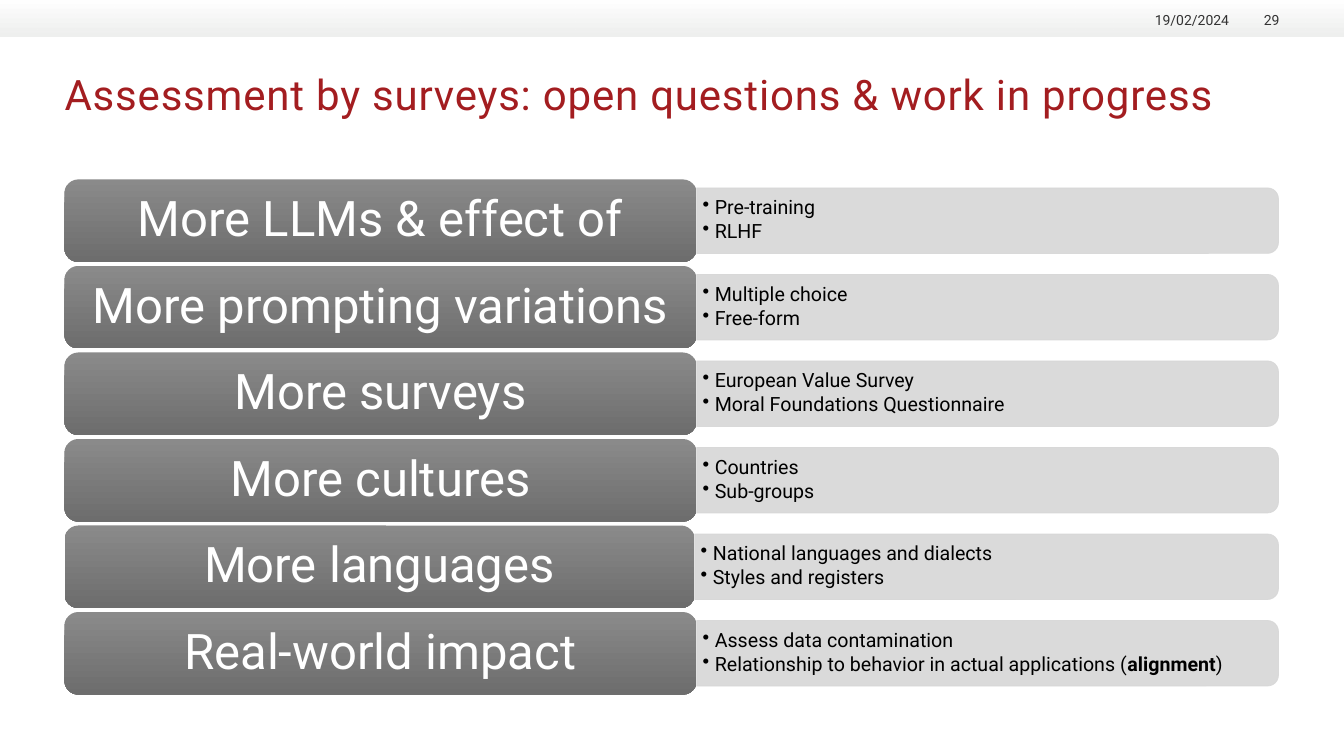
from dataclasses import dataclass

from pptx import Presentation
from pptx import util as u
from pptx.dml import color
from pptx.enum import shapes, text
from pptx.oxml import ns, xmlchemy


@dataclass(frozen=True)
class Theme:
    font: str = "Roboto"
    title: str = "A31D20"
    meta: str = "333333"
    detail: str = "000000"
    topic: str = "FFFFFF"
    panel: str = "D7D7D7"
    banner_gradient: tuple = ("FFFFFF", "EEEFEE")
    topic_gradient: tuple = ("8A8A8A", "6D6D6D")
    title_size: int = 30
    meta_size: int = 10
    detail_size: int = 14
    topic_size: int = 35


THEME = Theme()
ALIGN = text.PP_ALIGN
ANCHOR = text.MSO_ANCHOR

ROWS = [
    ("More LLMs & effect of", ["Pre-training", "RLHF"], 6.27),
    ("More prompting variations", ["Multiple choice", "Free-form"], 6.27),
    ("More surveys", ["European Value Survey", "Moral Foundations Questionnaire"], 6.27),
    ("More cultures", ["Countries", "Sub-groups"], 6.27),
    ("More languages", ["National languages and dialects", "Styles and registers"], 6.25),
    ("Real-world impact", [
        "Assess data contamination",
        ["Relationship to behavior in actual applications (", ("alignment", True), ")"],
    ], 6.27),
]


def rgb(value):
    return color.RGBColor.from_string(value)


def inches(*lengths):
    return [u.Inches(length) for length in lengths]


def fade(colours, percent):
    for colour in colours:
        alpha = xmlchemy.OxmlElement("a:alpha")
        alpha.set("val", str(percent * 1000))
        colour.append(alpha)


def add_bullet(paragraph, indent):
    properties = paragraph._p.get_or_add_pPr()
    properties.set("marL", str(u.Inches(indent)))
    properties.set("indent", str(u.Inches(-indent)))
    bullet = xmlchemy.OxmlElement("a:buChar")
    bullet.set("char", "•")
    properties.append(bullet)


def write(frame, paragraphs, *, size, colour, align=ALIGN.LEFT, anchor=ANCHOR.TOP,
          insets=(0, 0), line_spacing=None, after=0, bullet_indent=None, tracking=None):
    frame.word_wrap = True
    frame.auto_size = text.MSO_AUTO_SIZE.NONE
    frame.vertical_anchor = anchor
    frame.margin_left = frame.margin_right = u.Inches(insets[0])
    frame.margin_top = frame.margin_bottom = u.Inches(insets[1])
    for index, content in enumerate(paragraphs):
        paragraph = frame.add_paragraph() if index else frame.paragraphs[0]
        if bullet_indent:
            add_bullet(paragraph, bullet_indent)
        paragraph.alignment = align
        paragraph.line_spacing = line_spacing
        paragraph.space_after = u.Pt(after)
        for part in [content] if isinstance(content, str) else content:
            words, bold = (part, False) if isinstance(part, str) else part
            run = paragraph.add_run()
            run.text = words
            run.font.name = THEME.font
            run.font.size = u.Pt(size)
            run.font.bold = bold
            run.font.color.rgb = rgb(colour)
            if tracking:
                run._r.get_or_add_rPr().set("spc", str(round(tracking * 100)))


def add_gradient_box(slide, preset, box, gradient):
    block = slide.shapes.add_shape(preset, *inches(*box))
    block.shadow.inherit = False
    block.line.fill.background()
    block.fill.gradient()
    block.fill.gradient_angle = 270
    for stop, value in zip(block.fill.gradient_stops, gradient):
        stop.color.rgb = rgb(value)
    return block


def add_banner(slide, left, top, width, height):
    banner = add_gradient_box(slide, shapes.MSO_SHAPE.RECTANGLE,
                              (left, top, width, height), THEME.banner_gradient)
    fade(list(banner._element.spPr.iter(ns.qn("a:srgbClr")))[-1:], 93)
    for label, right, label_width in [("19/02/2024", 1.14, 0.89), ("29", 0.64, 0.42)]:
        meta = slide.shapes.add_textbox(
            *inches(left + width - right - label_width, top + 0.09, label_width, 0.19))
        write(meta.text_frame, [label], size=THEME.meta_size, colour=THEME.meta,
              align=ALIGN.RIGHT, anchor=ANCHOR.BOTTOM)


def add_title(slide, left, top, width, height):
    title = slide.shapes.title
    title.left, title.top, title.width, title.height = inches(left, top, width, height)
    write(title.text_frame, ["Assessment by surveys: open questions & work in progress"],
          size=THEME.title_size, colour=THEME.title, tracking=0.6)


def add_row(slide, topic, details, topic_width, left, top, width, height):
    panel_height = 0.65
    panel_width = width - topic_width
    middle = top + height / 2
    centre = left + topic_width + panel_width / 2
    panel = slide.shapes.add_shape(
        shapes.MSO_SHAPE.ROUND_2_SAME_RECTANGLE,
        *inches(centre - panel_height / 2, middle - panel_width / 2, panel_height, panel_width))
    panel.rotation = 90
    panel.shadow.inherit = False
    panel.fill.solid()
    panel.fill.fore_color.rgb = rgb(THEME.panel)
    panel.line.color.rgb = rgb(THEME.panel)
    panel.line.width = u.Pt(0.5)
    fade(panel._element.spPr.iter(ns.qn("a:srgbClr")), 90)

    detail_box = slide.shapes.add_textbox(
        *inches(left + topic_width, middle - 0.3, panel_width - 0.04, 0.59))
    write(detail_box.text_frame, details, size=THEME.detail_size, colour=THEME.detail,
          anchor=ANCHOR.MIDDLE, insets=(0.06, 0.03), line_spacing=0.9, after=2.1,
          bullet_indent=0.12)

    topic_box = add_gradient_box(slide, shapes.MSO_SHAPE.ROUNDED_RECTANGLE,
                                 (left, top, topic_width, height), THEME.topic_gradient)
    write(topic_box.text_frame, [topic], size=THEME.topic_size, colour=THEME.topic,
          align=ALIGN.CENTER, anchor=ANCHOR.MIDDLE, insets=(0.15, 0.07), line_spacing=0.9)


def add_rows(slide, left, top, width, height):
    gap = 0.04
    row_height = (height + gap) / len(ROWS) - gap
    for index, (topic, details, topic_width) in enumerate(ROWS):
        add_row(slide, topic, details, topic_width,
                left, top + index * (row_height + gap), width, row_height)


def main():
    deck = Presentation()
    deck.slide_width, deck.slide_height = inches(13.33, 7.5)
    slide = deck.slides.add_slide(deck.slide_layouts.get_by_name("Title Only"))
    add_banner(slide, 0, 0, 13.33, 0.36)
    add_title(slide, 0.64, 0.68, 12.04, 0.94)
    add_rows(slide, 0.64, 1.78, 12.04, 5.11)
    deck.save("out.pptx")


if __name__ == "__main__":
    main()
